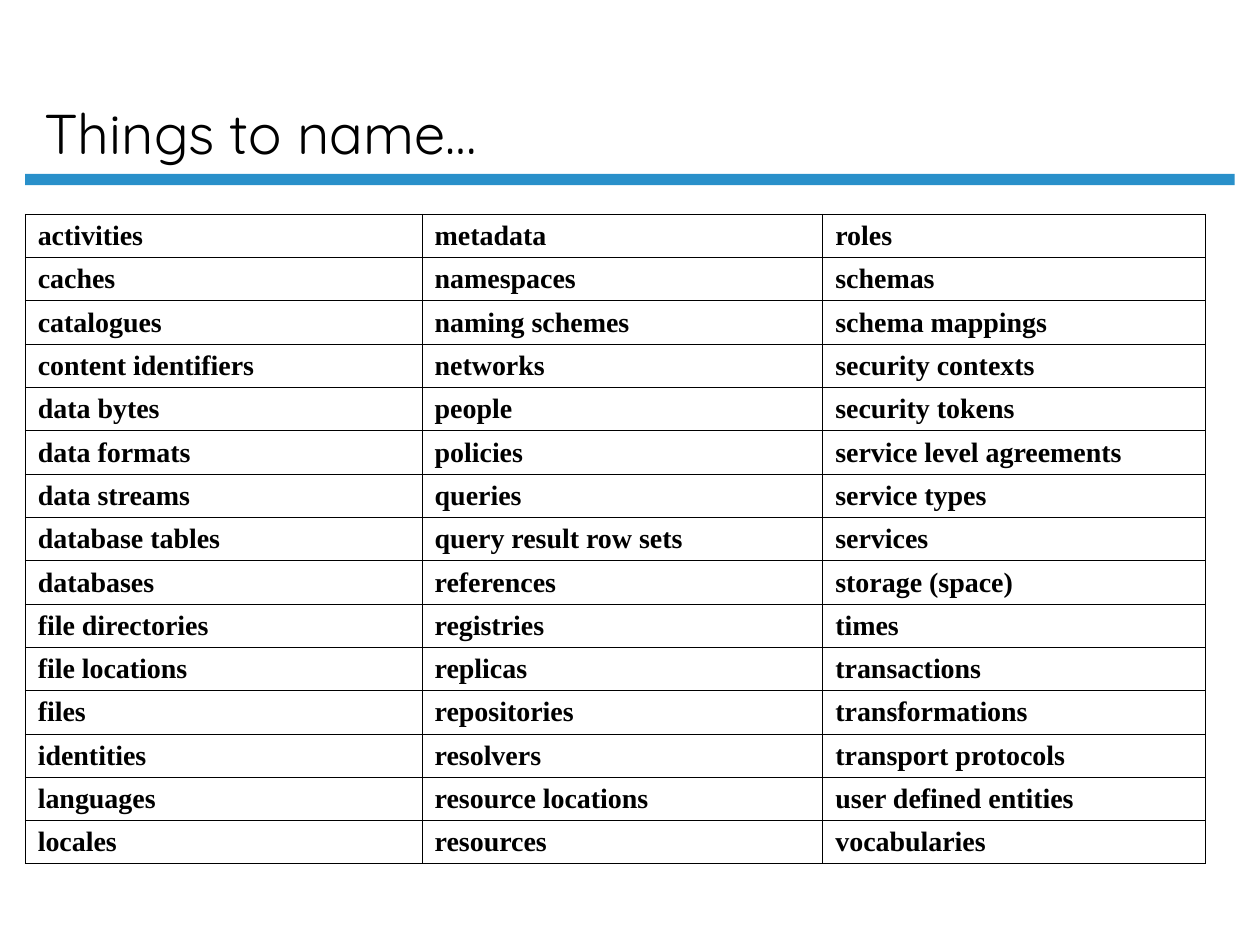
from lxml import etree
from pptx import Presentation
from pptx.dml.color import RGBColor
from pptx.enum.shapes import MSO_SHAPE
from pptx.enum.text import MSO_ANCHOR, MSO_AUTO_SIZE, PP_ALIGN
from pptx.oxml.ns import qn
from pptx.util import Inches, Pt

RECTANGLE = MSO_SHAPE.RECTANGLE
BOTTOM = MSO_ANCHOR.BOTTOM
NO_AUTOFIT = MSO_AUTO_SIZE.NONE
LEFT = PP_ALIGN.LEFT
TITLE_ONLY = 5

BLACK = "000000"
BLUE = "2990CA"

ROWS = [
    ("activities", "metadata", "roles"),
    ("caches", "namespaces", "schemas"),
    ("catalogues", "naming schemes", "schema mappings"),
    ("content identifiers", "networks", "security contexts"),
    ("data bytes", "people", "security tokens"),
    ("data formats", "policies", "service level agreements"),
    ("data streams", "queries", "service types"),
    ("database tables", "query result row sets", "services"),
    ("databases", "references", "storage (space)"),
    ("file directories", "registries", "times"),
    ("file locations", "replicas", "transactions"),
    ("files", "repositories", "transformations"),
    ("identities", "resolvers", "transport protocols"),
    ("languages", "resource locations", "user defined entities"),
    ("locales", "resources", "vocabularies"),
]


def rgb(value):
    return RGBColor.from_string(value)


def add_borders(cell, color, width):
    tc_pr = cell._tc.get_or_add_tcPr()
    for side in ("lnL", "lnR", "lnT", "lnB"):
        ln = etree.SubElement(tc_pr, qn(f"a:{side}"), w=str(Pt(width)))
        fill = etree.SubElement(ln, qn("a:solidFill"))
        etree.SubElement(fill, qn("a:srgbClr"), val=color)


class SlideBuilder:
    """Holds the text and line style and the slide being built."""

    title_font = "Quicksand"
    table_font = "Times New Roman"
    title_size = 32
    table_size = 16
    border_width = 0.45
    line_spacing = 0.9

    def __init__(self, prs):
        self.s = prs.slides.add_slide(prs.slide_layouts[TITLE_ONLY])

    def style(self, p, font, size, bold=False):
        p.alignment = LEFT
        p.line_spacing = self.line_spacing
        p.font.name = font
        p.font.size = Pt(size)
        p.font.bold = bold
        p.font.color.rgb = rgb(BLACK)

    def bar(self, x, y, w, h, color):
        sp = self.s.shapes.add_shape(
            RECTANGLE, Inches(x), Inches(y), Inches(w), Inches(h))
        sp.shadow.inherit = False
        sp.fill.solid()
        sp.fill.fore_color.rgb = rgb(color)
        sp.line.fill.background()

    def title(self, text, x, y, w, h):
        sp = self.s.shapes.title
        sp.left, sp.top = Inches(x), Inches(y)
        sp.width, sp.height = Inches(w), Inches(h)
        tf = sp.text_frame
        tf.text = text
        tf.word_wrap = True
        tf.auto_size = NO_AUTOFIT
        tf.vertical_anchor = BOTTOM
        self.style(tf.paragraphs[0], self.title_font, self.title_size)

    def table(self, rows, x, y, col_widths, height):
        table = self.s.shapes.add_table(
            len(rows), len(col_widths), Inches(x), Inches(y),
            Inches(sum(col_widths)), Inches(height)).table
        table.first_row = table.horz_banding = False
        for column, width in zip(table.columns, col_widths):
            column.width = Inches(width)
        for row, texts in zip(table.rows, rows):
            row.height = Inches(height / len(rows))
            for cell, text in zip(row.cells, texts):
                self.cell(cell, text)

    def cell(self, cell, text):
        cell.text = text
        cell.vertical_anchor = BOTTOM
        add_borders(cell, BLACK, self.border_width)
        cell.fill.background()
        p = cell.text_frame.paragraphs[0]
        p.space_after = Pt(2)
        self.style(p, self.table_font, self.table_size, bold=True)


def main():
    prs = Presentation()
    prs.slide_width, prs.slide_height = Inches(10), Inches(7.5)
    slide = SlideBuilder(prs)
    slide.bar(0.2, 1.38, 9.6, 0.09, BLUE)
    slide.title("Things to name…", 0.25, 0.12, 8.56, 1.25)
    slide.table(ROWS, 0.2, 1.7, (3.15, 3.18, 3.04), 5.16)
    prs.save("out.pptx")


if __name__ == "__main__":
    main()
